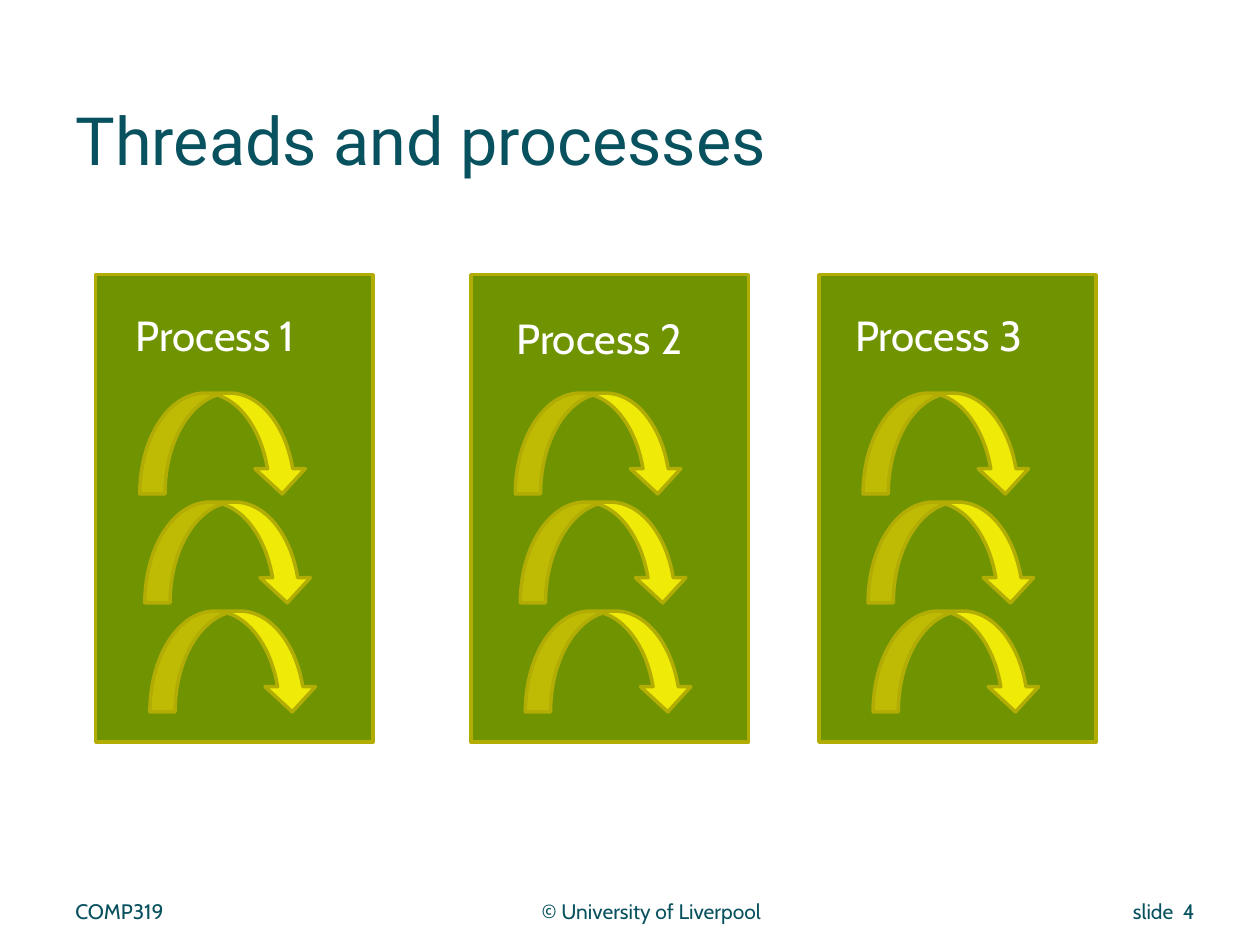
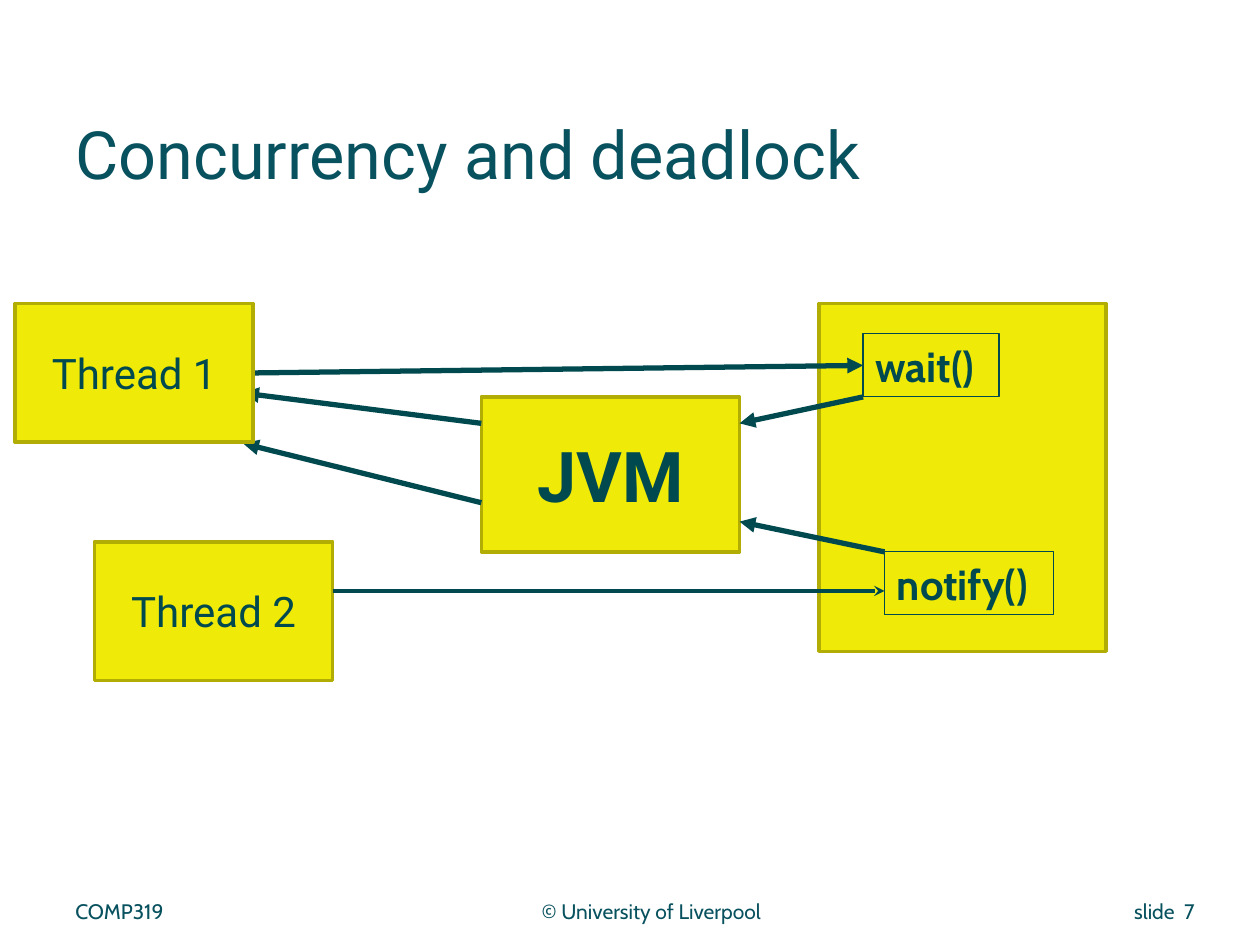
from dataclasses import dataclass

from lxml.etree import SubElement
from pptx import Presentation
from pptx.dml.color import RGBColor as RGB
from pptx.enum.shapes import MSO_CONNECTOR, MSO_SHAPE as SHAPE
from pptx.enum.text import MSO_ANCHOR as ANCHOR, MSO_AUTO_SIZE as AUTO, PP_ALIGN as ALIGN
from pptx.oxml.ns import qn
from pptx.util import Inches, Pt


@dataclass(frozen=True)
class Theme:
    """Colours, fonts and type sizes shared by the slides."""
    title: RGB = RGB.from_string("08515E")
    ink: RGB = RGB.from_string("00494F")
    green: RGB = RGB.from_string("709302")
    yellow: RGB = RGB.from_string("EFEA07")
    edge: RGB = RGB.from_string("B1AD05")
    white: RGB = RGB.from_string("FFFFFF")
    head_font: str = "Roboto"
    body_font: str = "Cabin"
    title_size: int = 38
    big_size: int = 40
    label_size: int = 24
    footer_size: int = 12


T = Theme()


def inches(*values):
    """Convert numbers to lengths."""
    return [Inches(v) for v in values]


def write(tf, runs, font, size, color, align=ALIGN.LEFT, bold=False):
    """Write the runs into the first paragraph of a text frame."""
    p = tf.paragraphs[0]
    p.alignment = align
    for text in runs:
        r = p.add_run()
        r.text = text
        r.font.name, r.font.size, r.font.bold = font, Pt(size), bold
        r.font.color.rgb = color


def add_block(slide, kind, box, fill):
    """Add a filled shape with the common edge."""
    s = slide.shapes.add_shape(kind, *inches(*box))
    s.shadow.inherit = False
    s.fill.solid()
    s.fill.fore_color.rgb = fill
    s.line.color.rgb = T.edge
    s.line.width = Pt(2)
    return s


def add_named_block(slide, box, text, size=T.label_size, bold=False):
    """Add a yellow block with a centred name."""
    tf = add_block(slide, SHAPE.RECTANGLE, box, T.yellow).text_frame
    tf.vertical_anchor = ANCHOR.MIDDLE
    write(tf, [text], T.head_font, size, T.ink, ALIGN.CENTER, bold)


def add_label(slide, box, text, color, bold=False):
    """Add a one-line label that fits its text."""
    s = slide.shapes.add_textbox(*inches(*box))
    s.text_frame.word_wrap = False
    s.text_frame.auto_size = AUTO.SHAPE_TO_FIT_TEXT
    write(s.text_frame, [text], T.body_font, T.label_size, color, bold=bold)
    return s


def add_arrow(slide, start, end, width=3, head="triangle"):
    """Add a straight arrow between two points."""
    c = slide.shapes.add_connector(MSO_CONNECTOR.STRAIGHT, *inches(*start, *end))
    c.line.color.rgb = T.ink
    c.line.width = Pt(width)
    sp_pr = c.element.spPr
    SubElement(sp_pr.find(qn("a:ln")), qn("a:tailEnd"), type=head)
    SubElement(sp_pr, qn("a:effectLst"))


def add_footer(slide, number):
    """Add the course, copyright and slide number."""
    for box, runs, align in (
        ((4, 7.08, 2.34, 0.42), ["© University of Liverpool"], ALIGN.CENTER),
        ((0.5, 7.08, 3.33, 0.42), ["COMP319"], ALIGN.LEFT),
        ((8.08, 7.08, 1.5, 0.33), ["slide ", f" {number}"], ALIGN.RIGHT),
    ):
        tf = slide.shapes.add_textbox(*inches(*box)).text_frame
        tf.word_wrap = True
        write(tf, runs, T.body_font, T.footer_size, T.title, align)


def add_slide(prs, title, top, number):
    """Add a slide with its title and footer."""
    slide = prs.slides.add_slide(prs.slide_layouts.get_by_name("Title Only"))
    s = slide.shapes.title
    s.left, s.top, s.width, s.height = inches(0.5, top, 9, 0.72)
    tf = s.text_frame
    tf.auto_size = AUTO.NONE
    tf.vertical_anchor = ANCHOR.MIDDLE
    write(tf, [title], T.head_font, T.title_size, T.title)
    add_footer(slide, number)
    return slide


def add_process(slide, box, name, label_dx, label_dy):
    """Draw a process panel holding three threads."""
    x, y, _, _ = box
    add_block(slide, SHAPE.RECTANGLE, box, T.green)
    for i in range(3):
        thread = (x + 0.35 + 0.04 * i, y + 0.94 + 0.865 * i, 1.33, 0.8)
        add_block(slide, SHAPE.CURVED_DOWN_ARROW, thread, T.yellow)
    add_label(slide, (x + label_dx, y + label_dy, 1.7, 0.5), name, T.white)


def add_deadlock_diagram(slide, x, y):
    """Draw the threads, the JVM and the monitor calls from a corner."""
    def at(dx, dy, *size):
        return (x + dx, y + dy, *size)

    add_block(slide, SHAPE.RECTANGLE, at(6.38, 0, 2.28, 2.76), T.yellow)
    add_named_block(slide, at(0.63, 1.89, 1.89, 1.1), "Thread 2")
    for text, box in (("wait()", at(6.73, 0.24, 1.08, 0.5)),
                      ("notify()", at(6.9, 1.97, 1.34, 0.5))):
        s = add_label(slide, box, text, T.ink, bold=True)
        s.line.color.rgb = T.ink
        s.line.width = Pt(0.75)
    add_named_block(slide, at(3.7, 0.74, 2.05, 1.23), "JVM", T.big_size, True)
    add_arrow(slide, at(2.52, 2.28), at(6.9, 2.28), 2, "stealth")
    for start, end in (
        ((6.9, 1.97), (5.75, 1.73)),
        ((1.89, 0.55), (6.73, 0.49)),
        ((6.73, 0.74), (5.75, 0.95)),
        ((3.7, 0.95), (1.81, 0.71)),
        ((3.7, 1.58), (1.81, 1.11)),
    ):
        add_arrow(slide, at(*start), at(*end))
    add_named_block(slide, at(0, 0, 1.89, 1.1), "Thread 1")


def main():
    """Build and save the slides."""
    prs = Presentation()
    prs.slide_width, prs.slide_height = inches(10, 7.5)

    slide = add_slide(prs, "Threads and processes", 0.74, 4)
    panels = ((0.76, 0.22, 0.23), (3.74, 0.26, 0.25), (6.5, 0.19, 0.23))
    for n, (left, dx, dy) in enumerate(panels, 1):
        add_process(slide, (left, 2.18, 2.2, 3.71), f"Process {n}", dx, dy)

    slide = add_slide(prs, "Concurrency and deadlock", 0.85, 7)
    add_deadlock_diagram(slide, 0.12, 2.41)

    prs.save("out.pptx")


if __name__ == "__main__":
    main()
